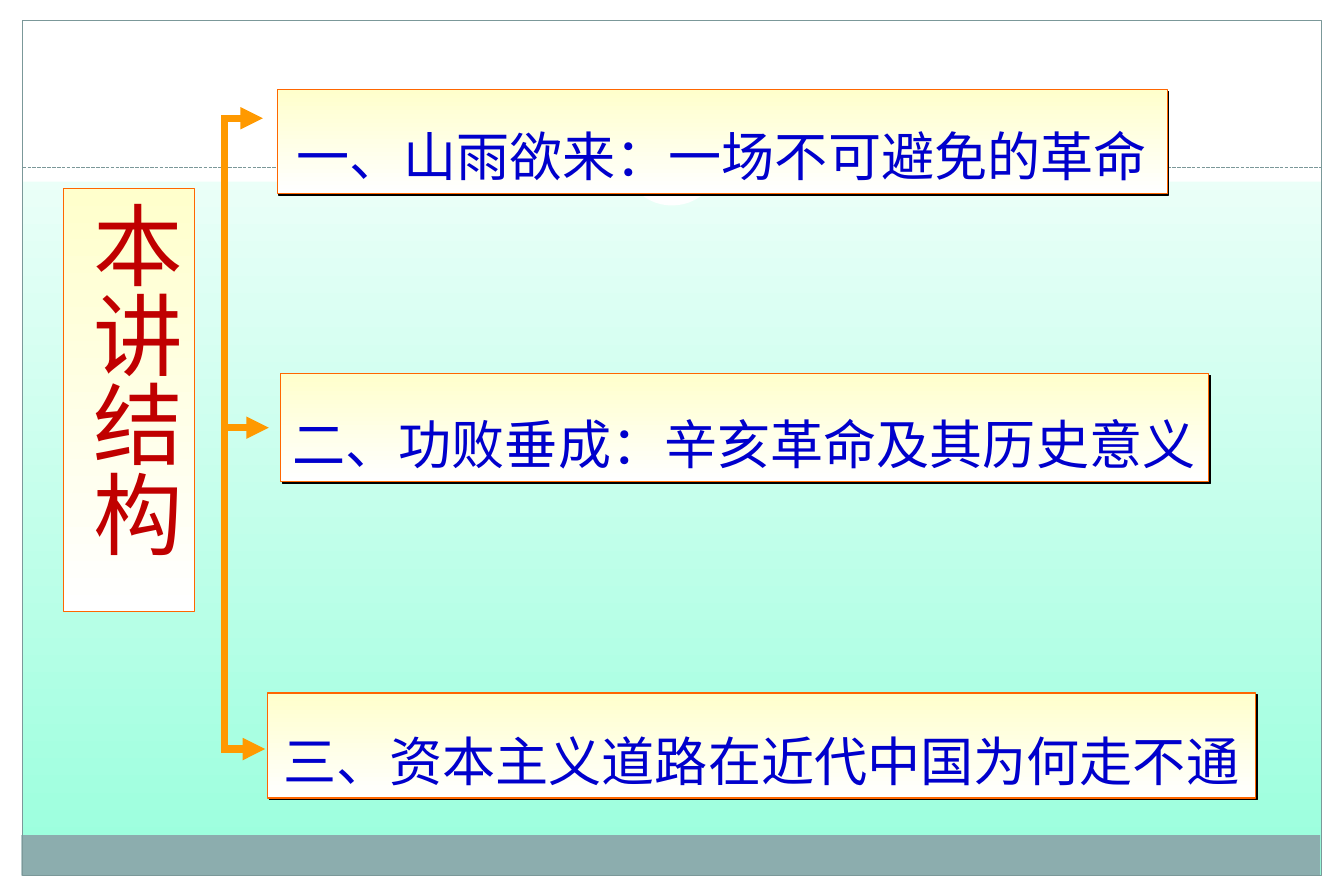
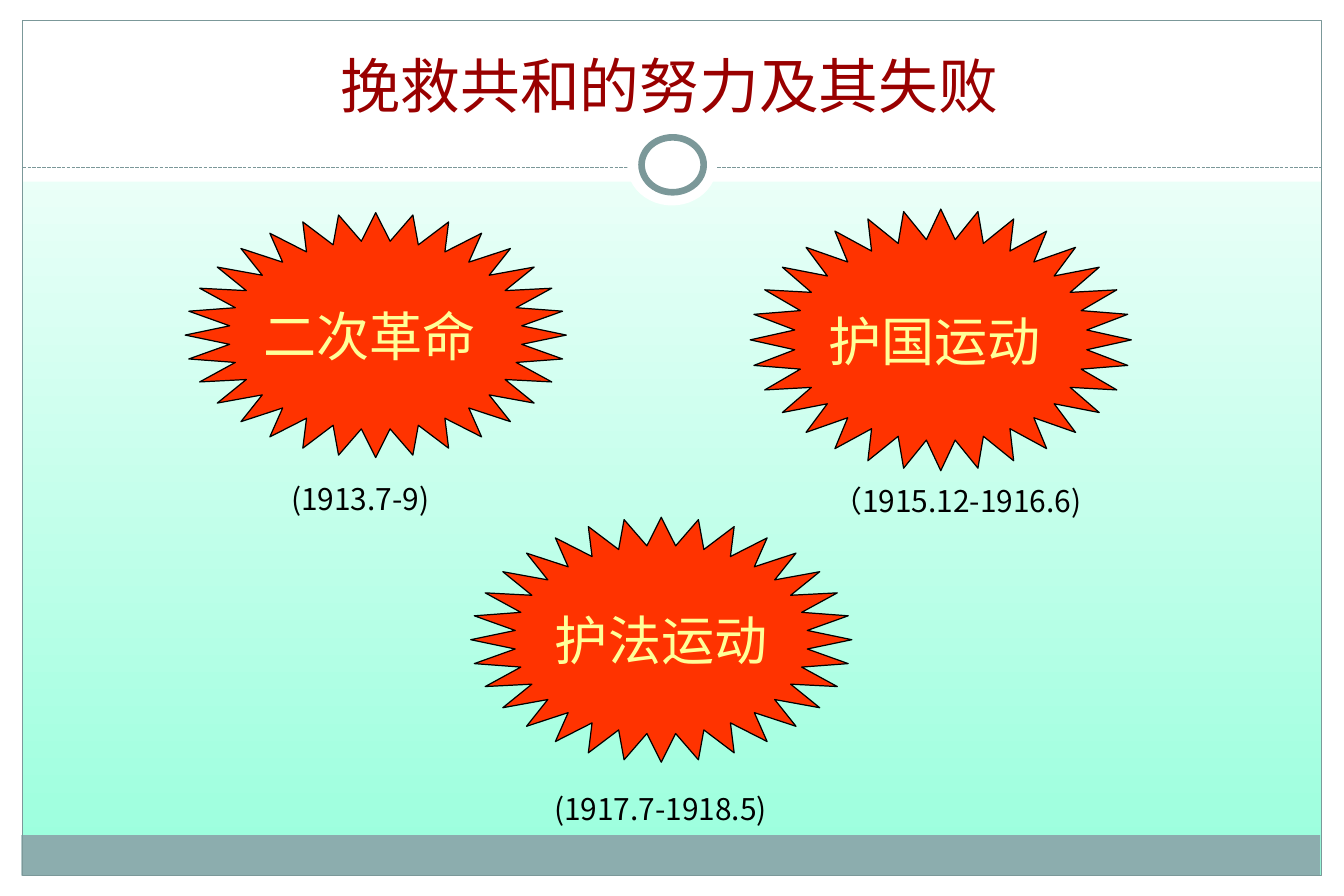
"""Builds two slides on the 1911 Revolution: the lecture outline and three failed movements."""
from lxml.etree import SubElement
from pptx import Presentation
from pptx.dml.color import RGBColor
from pptx.enum.dml import MSO_LINE
from pptx.enum.shapes import MSO_CONNECTOR, MSO_SHAPE
from pptx.enum.text import MSO_ANCHOR as ANCHOR, MSO_AUTO_SIZE as AUTO, PP_ALIGN as ALIGN
from pptx.oxml.ns import qn
from pptx.util import Inches, Pt

JP, SC = "Noto Sans CJK JP", "Noto Sans CJK SC"
TEAL, ORANGE = "7B9899", "FF9900"
CREAM = ("FFFFCC", "FFFFFF")

BANDS = [
    ((0, 7.33, 11.25, 0.17), "FFFFFF"),
    ((0, 0, 11.25, 1.52), "FFFFFF"),
    ((0, 0, 0.19, 7.5), "FFFFFF"),
    ((11.06, 0, 0.19, 7.5), "FFFFFF"),
    ((0.18, 6.99, 10.87, 0.34), "8CADAE"),
]
TOPIC = dict(size=32, font=JP, color="0000CC")
CENTRED_TOPIC = dict(align=ALIGN.CENTER, spacing=1.45, anchor=ANCHOR.BOTTOM, **TOPIC)
TOPICS = [
    ("一、山雨欲来：一场不可避免的革命", (2.32, 0.75, 7.45, 0.87), 0.75, CENTRED_TOPIC),
    ("二、功败垂成：辛亥革命及其历史意义", (2.35, 3.13, 7.77, 0.9), 0.5,
     dict(spacing=1.5, anchor=ANCHOR.MIDDLE, **TOPIC)),
    ("三、资本主义道路在近代中国为何走不通", (2.24, 5.8, 8.27, 0.88), 0.75, CENTRED_TOPIC),
]
TRUNK_X = 1.88
BRANCHES = [(1.85, 2.2, 0.99), (TRUNK_X, 2.25, 3.58), (1.85, 2.22, 6.27)]
STAR_WIDTH = 3.19
MOVEMENTS = [
    ("二次革命 ", (1.55, 1.78), 2.05),
    ("护国运动 ", (6.28, 1.75), 2.19),
    ("护法运动", (3.94, 4.33), 2.05),
]
DATES = [
    ("(1913.7-9) ", (2.31, 3.82, 1.41, 0.55), dict(align=ALIGN.CENTER, spacing=1.5)),
    ("(1917.7-1918.5)", (4.54, 6.57, 2.04, 0.4), {}),
    ("（1915.12-1916.6)", (6.87, 3.99, 2.4, 0.4), {}),
]


def rgb(color):
    return RGBColor.from_string(color)


def paint(fill, color):
    if color is None:
        fill.background()
    elif isinstance(color, tuple):
        fill.gradient()
        fill.gradient_angle = 270
        for stop, c in zip(fill.gradient_stops, color):
            stop.color.rgb = rgb(c)
    else:
        fill.solid()
        fill.fore_color.rgb = rgb(color)


def place(sp, at):
    for name, value in zip(("left", "top", "width", "height"), at):
        setattr(sp, name, Inches(value))


def decorate(sp, fill=None, line=None, weight=0.75):
    sp.shadow.inherit = False
    paint(sp.fill, fill)
    paint(sp.line.fill, line)
    if line:
        sp.line.width = Pt(weight)
    return sp


def add_shape(slide, kind, at, **look):
    return decorate(slide.shapes.add_shape(kind, *map(Inches, at)), **look)


def add_line(slide, start, end, color, weight, arrow=False):
    x = slide.shapes.add_connector(MSO_CONNECTOR.STRAIGHT, *map(Inches, start + end))
    x.line.color.rgb = rgb(color)
    x.line.width = Pt(weight)
    if arrow:
        SubElement(x.line._get_or_add_ln(), qn("a:tailEnd"), type="triangle")
    SubElement(x.element.spPr, qn("a:effectLst"))
    return x


def drop_shadow(sp):
    effects = sp.element.spPr.find(qn("a:effectLst"))
    shadow = SubElement(effects, qn("a:outerShdw"), blurRad="0",
                        dist=str(Pt(1.4)), dir="2700000", algn="ctr", rotWithShape="0")
    SubElement(shadow, qn("a:srgbClr"), val="000000")


def write(sp, text, size, font, color, align=ALIGN.LEFT, spacing=None,
          anchor=ANCHOR.TOP, wrap=True, grow=True, margins=(0.1, 0.05)):
    tf = sp.text_frame
    side, end = map(Inches, margins)
    frame = dict(word_wrap=wrap, vertical_anchor=anchor,
                 auto_size=AUTO.SHAPE_TO_FIT_TEXT if grow else AUTO.NONE,
                 margin_left=side, margin_right=side, margin_top=end, margin_bottom=end)
    for name, value in frame.items():
        setattr(tf, name, value)
    p = tf.paragraphs[0]
    p.alignment = align
    if spacing:
        p.line_spacing = spacing
    r = p.add_run()
    r.text = text
    for name, value in dict(size=Pt(size), name=font, bold=False).items():
        setattr(r.font, name, value)
    r.font.color.rgb = rgb(color)
    SubElement(r.font._element, qn("a:ea"), typeface=font)


def build_master(prs, slide):
    master = prs.slide_master
    paint(master.background.fill, ("FFFFFF", "97FFDC"))
    parts = [add_shape(slide, MSO_SHAPE.RECTANGLE, at, fill=color) for at, color in BANDS]
    parts.append(add_shape(slide, MSO_SHAPE.RECTANGLE, (0.19, 0.17, 10.87, 7.16), line=TEAL))
    rule = add_line(slide, (0.19, 1.4), (11.06, 1.4), TEAL, 0.75)
    rule.line.dash_style = MSO_LINE.SQUARE_DOT
    parts += [
        rule,
        add_shape(slide, MSO_SHAPE.OVAL, (5.25, 1.05, 0.75, 0.67), fill="FFFFFF"),
        add_shape(slide, MSO_SHAPE.OVAL, (5.37, 1.15, 0.52, 0.46),
                  fill="FFFFFF", line=TEAL, weight=4),
    ]
    for i, part in enumerate(parts):
        part.element.xpath(".//p:cNvPr")[0].set("id", str(20 + i))
        master.shapes.element.insert(2 + i, part.element)


def build_outline(slide):
    for i, (text, at, weight, style) in enumerate(TOPICS):
        if i == 0:
            sp = slide.shapes.title
            place(sp, at)
            decorate(sp, fill=CREAM, line="FF6600", weight=weight)
        else:
            sp = add_shape(slide, MSO_SHAPE.RECTANGLE, at,
                           fill=CREAM, line="FF6600", weight=weight)
        drop_shadow(sp)
        write(sp, text, **style)
    label = add_shape(slide, MSO_SHAPE.RECTANGLE, (0.53, 1.58, 1.1, 3.54),
                      fill=CREAM, line="FF6600")
    write(label, "本讲结构", 54, JP, "C00000", align=ALIGN.CENTER, margins=(0.05, 0.1))
    label.element.txBody.bodyPr.set("vert", "eaVert")
    add_line(slide, (TRUNK_X, BRANCHES[0][2]), (TRUNK_X, BRANCHES[-1][2]), ORANGE, 4.5)
    for left, right, y in BRANCHES:
        add_line(slide, (left, y), (right, y), ORANGE, 4.5, arrow=True)


def build_movements(slide):
    title = slide.shapes.title
    place(title, (1.82, 0.36, 7.68, 0.75))
    write(title, "挽救共和的努力及其失败 ", 36, JP, "990000", align=ALIGN.CENTER, grow=False)
    for text, corner, height in MOVEMENTS:
        star = add_shape(slide, MSO_SHAPE.STAR_32_POINT, (*corner, STAR_WIDTH, height),
                         fill="FF3300", line="000000")
        star.adjustments[0] = 0.385
        write(star, text, 32, SC, "FFFF99", align=ALIGN.CENTER,
              anchor=ANCHOR.MIDDLE, wrap=False, grow=False)
    for text, at, style in DATES:
        box = slide.shapes.add_textbox(*map(Inches, at))
        write(box, text, 18, SC, "000000", wrap=False, **style)


def main():
    prs = Presentation()
    prs.slide_width, prs.slide_height = Inches(11.25), Inches(7.5)
    layout = prs.slide_layouts.get_by_name("Title Only")
    outline, movements = (prs.slides.add_slide(layout) for _ in range(2))
    build_master(prs, outline)
    build_outline(outline)
    build_movements(movements)
    prs.save("out.pptx")


if __name__ == "__main__":
    main()
